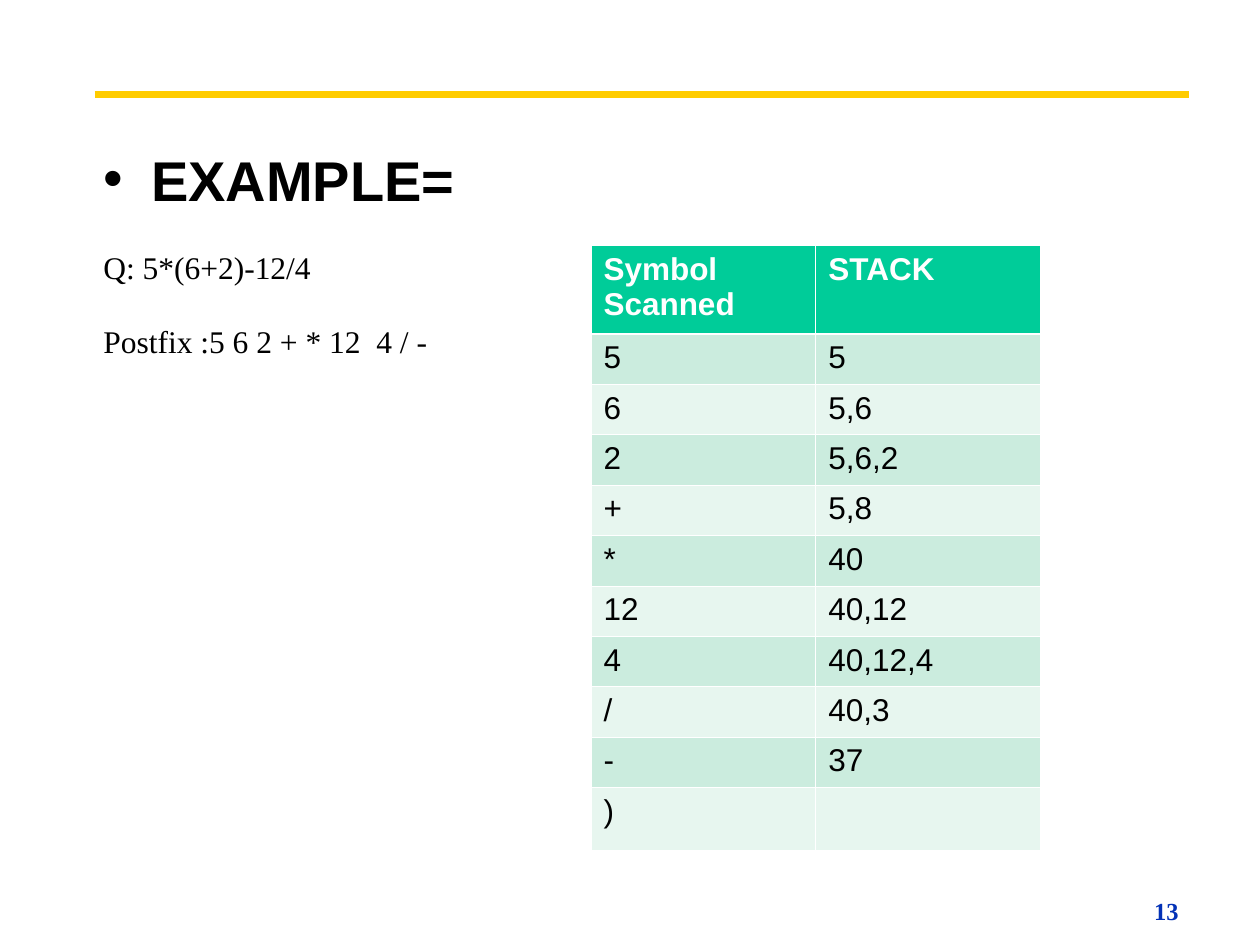
from dataclasses import dataclass

from lxml.etree import SubElement
from pptx import Presentation
from pptx.dml.color import RGBColor
from pptx.enum.shapes import MSO_CONNECTOR
from pptx.enum.text import MSO_ANCHOR, MSO_AUTO_SIZE
from pptx.oxml import parse_xml
from pptx.oxml.ns import nsdecls, qn
from pptx.util import Inches, Pt

COLORS = {
    "text": "000000",
    "white": "FFFFFF",
    "rule": "FFCC00",
    "number": "0332B7",
    "header": "00CC99",
    "odd": "CBECDE",
    "even": "E7F6EF",
}

FRAME_FORMAT = {
    "margin_left": Inches(0.07),
    "margin_right": Inches(0.07),
    "margin_top": Inches(0.03),
    "margin_bottom": Inches(0.03),
    "vertical_anchor": MSO_ANCHOR.TOP,
    "auto_size": MSO_AUTO_SIZE.NONE,
}
BODY_PARAGRAPH = {"line_spacing": 0.75, "space_before": Pt(26)}
THIN, THICK = 0.45, 1.47


@dataclass
class TextStyle:
    name: str
    size: float
    color: str
    bold: bool = False


@dataclass
class BodyLine:
    text: str
    style: TextStyle
    bullet: bool = False


@dataclass
class TraceStep:
    symbol: str
    stack: str


HEADING = TextStyle("Arial", 32, "text", True)
EXPRESSION = TextStyle("Times New Roman", 18, "text")
TABLE_HEADER = TextStyle("Arial", 18, "white", True)
TABLE_CELL = TextStyle("Arial", 18, "text")
PAGE_NUMBER = TextStyle("Times New Roman", 14, "number", True)

BODY_LINES = [
    BodyLine("EXAMPLE=", HEADING, bullet=True),
    BodyLine("Q: 5*(6+2)-12/4", EXPRESSION),
    BodyLine("Postfix :5 6 2 + * 12  4 / -", EXPRESSION),
]
TRACE = [
    TraceStep("Symbol Scanned", "STACK"),
    TraceStep("5", "5"),
    TraceStep("6", "5,6"),
    TraceStep("2", "5,6,2"),
    TraceStep("+", "5,8"),
    TraceStep("*", "40"),
    TraceStep("12", "40,12"),
    TraceStep("4", "40,12,4"),
    TraceStep("/", "40,3"),
    TraceStep("-", "37"),
    TraceStep(")", ""),
]


def color(name: str) -> RGBColor:
    return RGBColor.from_string(COLORS[name])


def apply_format(target, values: dict) -> None:
    for attribute, value in values.items():
        setattr(target, attribute, value)


def write(paragraph, text: str, style: TextStyle) -> None:
    run = paragraph.add_run()
    run.text = text
    apply_format(run.font, {"name": style.name, "size": Pt(style.size), "bold": style.bold})
    run.font.color.rgb = color(style.color)


def draw_rule(slide) -> None:
    rule = slide.shapes.add_connector(
        MSO_CONNECTOR.STRAIGHT, Inches(0.75), Inches(0.75), Inches(9.44), Inches(0.75)
    )
    rule.line.color.rgb = color("rule")
    rule.line.width = Pt(4.5)
    SubElement(rule._element.spPr, qn("a:effectLst"))


def draw_page_number(slide) -> None:
    shape = slide.shapes.add_textbox(Inches(9.09), Inches(7.08), Inches(1.02), Inches(0.29))
    apply_format(shape.text_frame, FRAME_FORMAT)
    shape.text_frame.word_wrap = False
    write(shape.text_frame.paragraphs[0], "13", PAGE_NUMBER)


def fill_body(body, lines: list[BodyLine]) -> None:
    apply_format(body, {
        "left": Inches(0.75), "top": Inches(1.25),
        "width": Inches(8.58), "height": Inches(3.97),
    })
    frame = body.text_frame
    apply_format(frame, FRAME_FORMAT)
    frame.word_wrap = True
    for index, line in enumerate(lines):
        paragraph = frame.add_paragraph() if index else frame.paragraphs[0]
        apply_format(paragraph, BODY_PARAGRAPH)
        properties = paragraph._p.get_or_add_pPr()
        properties.set("marL", str(Inches(0.38)))
        properties.set("indent", str(-Inches(0.38)))
        if line.bullet:
            SubElement(properties, qn("a:buChar")).set("char", "•")
        else:
            SubElement(properties, qn("a:buNone"))
        write(paragraph, line.text, line.style)


def set_borders(cell, top: float, bottom: float) -> None:
    widths = {"lnL": THIN, "lnR": THIN, "lnT": top, "lnB": bottom}
    properties = cell._tc.get_or_add_tcPr()
    for position, (side, width) in enumerate(widths.items()):
        properties.insert(position, parse_xml(
            f'<a:{side} {nsdecls("a")} w="{Pt(width)}"><a:solidFill>'
            f'<a:srgbClr val="{COLORS["white"]}"/></a:solidFill></a:{side}>'
        ))


def draw_trace_table(slide, steps: list[TraceStep]) -> None:
    heights = [0.7] + [0.4] * (len(steps) - 2) + [0.5]
    table = slide.shapes.add_table(
        len(steps), 2, Inches(4.69), Inches(1.95), Inches(3.57), Inches(sum(heights))
    ).table
    for row_index, (step, height) in enumerate(zip(steps, heights)):
        table.rows[row_index].height = Inches(height)
        is_header = row_index == 0
        fill = "header" if is_header else "odd" if row_index % 2 else "even"
        for column_index, text in enumerate((step.symbol, step.stack)):
            cell = table.cell(row_index, column_index)
            cell.fill.solid()
            cell.fill.fore_color.rgb = color(fill)
            set_borders(cell, THICK if row_index == 1 else THIN, THICK if is_header else THIN)
            if text:
                style = TABLE_HEADER if is_header else TABLE_CELL
                write(cell.text_frame.paragraphs[0], text, style)


def main() -> None:
    presentation = Presentation()
    presentation.slide_width = Inches(10)
    presentation.slide_height = Inches(7.5)
    slide = presentation.slides.add_slide(presentation.slide_layouts[1])
    title = slide.shapes.title
    title._element.getparent().remove(title._element)
    draw_page_number(slide)
    draw_rule(slide)
    fill_body(slide.placeholders[1], BODY_LINES)
    draw_trace_table(slide, TRACE)
    presentation.save("out.pptx")


if __name__ == "__main__":
    main()
